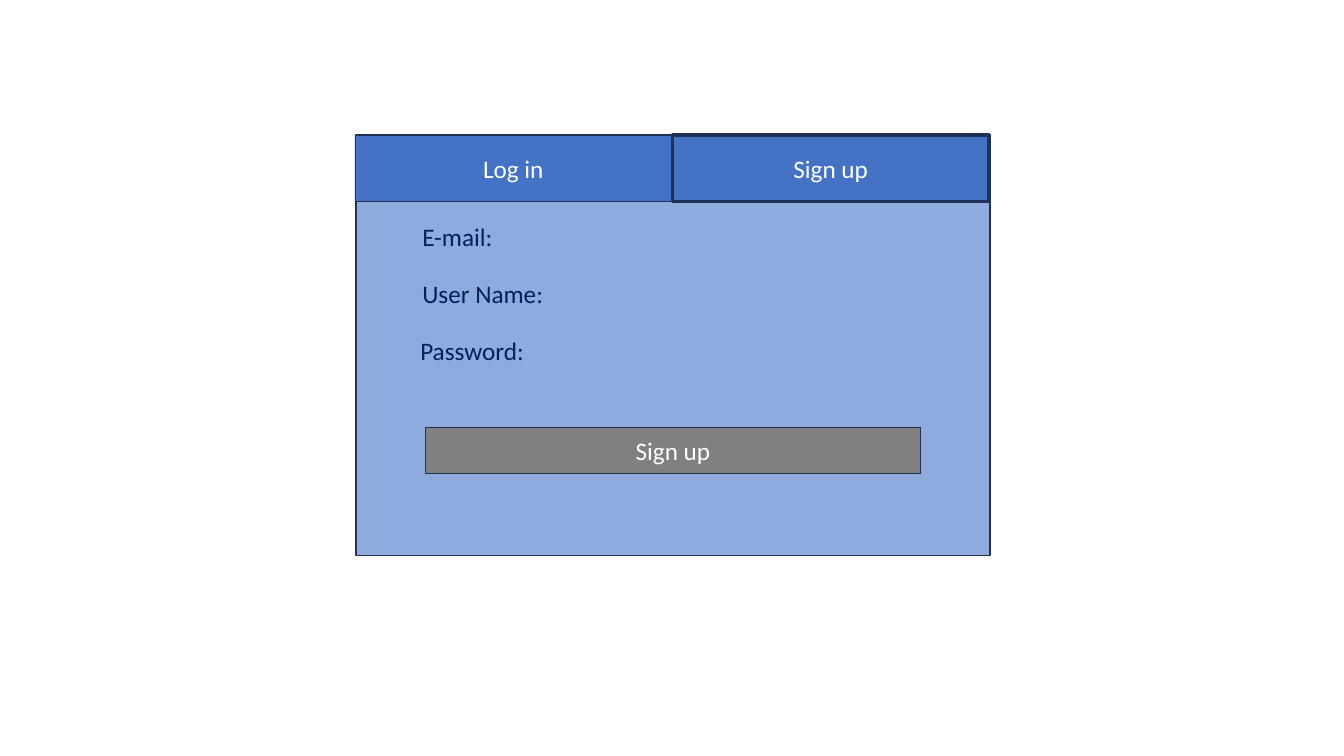
from dataclasses import dataclass

from pptx import Presentation
from pptx.dml.color import RGBColor as Rgb
from pptx.enum.shapes import MSO_SHAPE as Form
from pptx.enum.text import MSO_ANCHOR as Anchor
from pptx.enum.text import MSO_AUTO_SIZE as Fit
from pptx.enum.text import PP_ALIGN as Align
from pptx.util import Inches, Pt

HUES = {
    "panel": "8FAADC",
    "tab": "4472C4",
    "button": "808080",
    "edge": "1E3256",
    "label": "002060",
    "white": "FFFFFF",
}
WIDE, HIGH = Inches(13.33), Inches(7.5)


# Places are in percent of the slide's width and height
@dataclass
class Area:
    left: float
    top: float
    width: float
    height: float

    def frame(self) -> tuple[int, int, int, int]:
        return (
            int(WIDE * self.left / 100),
            int(HIGH * self.top / 100),
            int(WIDE * self.width / 100),
            int(HIGH * self.height / 100),
        )


@dataclass
class Block:
    area: Area
    fill: str
    edge: float
    text: str = ""


@dataclass
class Field:
    text: str
    left: float


def hue(name: str) -> Rgb:
    return Rgb.from_string(HUES[name])


def write(frame, text: str, *, color: str, align=Align.LEFT,
          anchor=Anchor.TOP, size: float = 18, font: str = "Calibri") -> None:
    frame.word_wrap = True
    frame.vertical_anchor = anchor
    para = frame.paragraphs[0]
    para.alignment = align
    run = para.add_run()
    run.text = text
    run.font.name = font
    run.font.size = Pt(size)
    run.font.color.rgb = hue(color)


def draw_block(slide, block: Block) -> None:
    shape = slide.shapes.add_shape(Form.RECTANGLE, *block.area.frame())
    shape.shadow.inherit = False
    shape.fill.solid()
    shape.fill.fore_color.rgb = hue(block.fill)
    shape.line.color.rgb = hue("edge")
    shape.line.width = Pt(block.edge)
    if block.text:
        write(shape.text_frame, block.text, color="white",
              align=Align.CENTER, anchor=Anchor.MIDDLE)


def draw_field(slide, field: Field, top: float) -> None:
    area = Area(field.left, top, 38.86, 5.33)
    frame = slide.shapes.add_textbox(*area.frame()).text_frame
    write(frame, field.text, color="label")
    frame.auto_size = Fit.SHAPE_TO_FIT_TEXT


def main() -> None:
    deck = Presentation()
    deck.slide_width, deck.slide_height = WIDE, HIGH
    slide = deck.slides.add_slide(deck.slide_layouts[6])

    # Panel, two tabs with the right one active, and the button
    top, tab = 17.87, 23.56
    blocks = [
        Block(Area(26.48, top, 47.19, 55.6), "panel", 1),
        Block(Area(26.41, top, tab, 8.8), "tab", 0.5, "Log in"),
        Block(Area(50.03, top, tab, 8.8), "tab", 2.25, "Sign up"),
        Block(Area(31.66, 56.53, 36.83, 6.13), "button", 1, "Sign up"),
    ]
    for block in blocks:
        draw_block(slide, block)

    # Field labels at an equal step
    fields = [
        Field("E-mail:", 30.68),
        Field("User Name:", 30.68),
        Field("Password:", 30.53),
    ]
    for row, field in enumerate(fields):
        draw_field(slide, field, 28.67 + 7.53 * row)

    deck.save("out.pptx")


if __name__ == "__main__":
    main()
